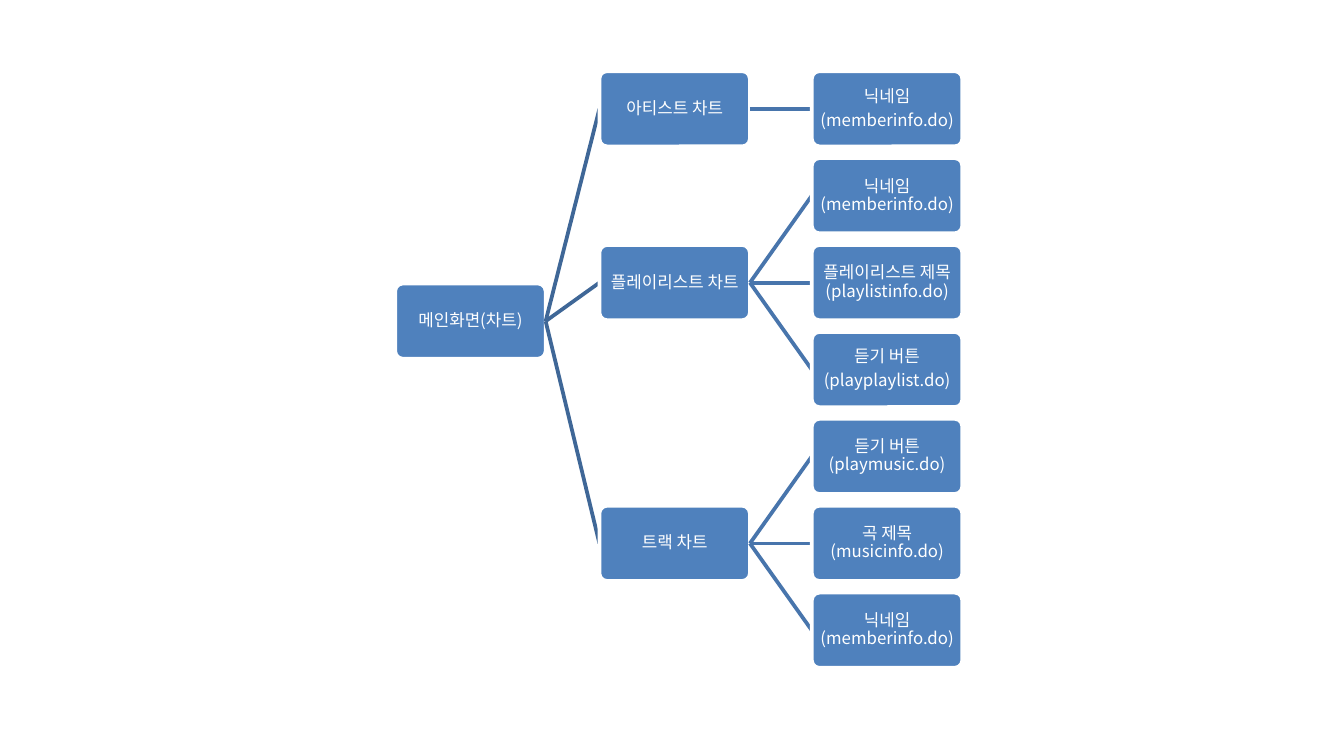
from dataclasses import dataclass

from lxml import etree
from pptx import Presentation
from pptx import util as u
from pptx.dml.color import RGBColor
from pptx.enum import shapes, text
from pptx.oxml import ns


@dataclass(frozen=True)
class Theme:
    font: str = "Noto Sans CJK KR"
    size: float = 9
    white: str = "FFFFFF"
    box: str = "4F81BD"
    link_colors: tuple = ("3F6797", "4875AC")
    line_width: float = 2


theme = Theme()

# Layout rules: three columns, seven evenly spaced rows
COLUMNS = (2.94, 4.46, 6.04)
BOX_WIDTH, BOX_HEIGHT = 1.12, 0.56
FIRST_ROW, LAST_ROW, ROW_COUNT = 0.53, 4.41, 7
ROW_STEP = (LAST_ROW - FIRST_ROW) / (ROW_COUNT - 1)
ROOT_TOP = 2.11

# Each branch: label, row, and the labels of its leaves
BRANCHES = (
    ("아티스트 차트", 0, ("닉네임\n(memberinfo.do)",)),
    ("플레이리스트 차트", 2, (
        "닉네임 (memberinfo.do)",
        "플레이리스트 제목(playlistinfo.do)",
        "듣기 버튼\n(playplaylist.do)",
    )),
    ("트랙 차트", 5, (
        "듣기 버튼 (playmusic.do)",
        "곡 제목 (musicinfo.do)",
        "닉네임 (memberinfo.do)",
    )),
)


def write_text(shape, content, *, size=theme.size, color=theme.white, inset=0.01):
    frame = shape.text_frame
    frame.word_wrap = True
    frame.vertical_anchor = text.MSO_ANCHOR.MIDDLE
    frame.margin_left = frame.margin_right = u.Inches(inset)
    frame.margin_top = frame.margin_bottom = u.Inches(inset)
    frame.text = content
    for paragraph in frame.paragraphs:
        paragraph.alignment = text.PP_ALIGN.CENTER
        paragraph.line_spacing = 0.9
        paragraph.space_after = u.Pt(0.35 * size)
        for run in paragraph.runs:
            run.font.name = theme.font
            run.font.size = u.Pt(size)
            run.font.color.rgb = RGBColor.from_string(color)
            east_asian = etree.SubElement(run.font._element, ns.qn("a:ea"))
            east_asian.set("typeface", theme.font)


def add_node(slide, label, level, top, parent=None):
    # The link lies over its parent and under its child
    if parent is not None:
        link = slide.shapes.add_connector(shapes.MSO_CONNECTOR.STRAIGHT, 0, 0, 0, 0)
        link.begin_connect(parent, 3)
        link.line.color.rgb = RGBColor.from_string(theme.link_colors[level - 1])
        link.line.width = u.Pt(theme.line_width)
        etree.SubElement(link._element.spPr, ns.qn("a:effectLst"))

    box = slide.shapes.add_shape(
        shapes.MSO_SHAPE.ROUNDED_RECTANGLE,
        u.Inches(COLUMNS[level]), u.Inches(top),
        u.Inches(BOX_WIDTH), u.Inches(BOX_HEIGHT),
    )
    box.adjustments[0] = 0.1
    box.shadow.inherit = False
    box.fill.solid()
    box.fill.fore_color.rgb = RGBColor.from_string(theme.box)
    box.line.color.rgb = RGBColor.from_string(theme.white)
    box.line.width = u.Pt(theme.line_width)
    write_text(box, label)

    if parent is not None:
        link.end_connect(box, 1)
    return box


# Slide in 16:9
presentation = Presentation()
presentation.slide_width = u.Inches(10)
presentation.slide_height = u.Inches(10 * 9 / 16)
slide = presentation.slides.add_slide(presentation.slide_layouts[6])

# Tree: root, branches, leaves; leaves fill the rows in order
root = add_node(slide, "메인화면(차트)", 0, ROOT_TOP)
leaf_row = 0
for branch_label, branch_row, leaves in BRANCHES:
    branch = add_node(slide, branch_label, 1, FIRST_ROW + branch_row * ROW_STEP, root)
    for leaf_label in leaves:
        add_node(slide, leaf_label, 2, FIRST_ROW + leaf_row * ROW_STEP, branch)
        leaf_row += 1

presentation.save("out.pptx")
